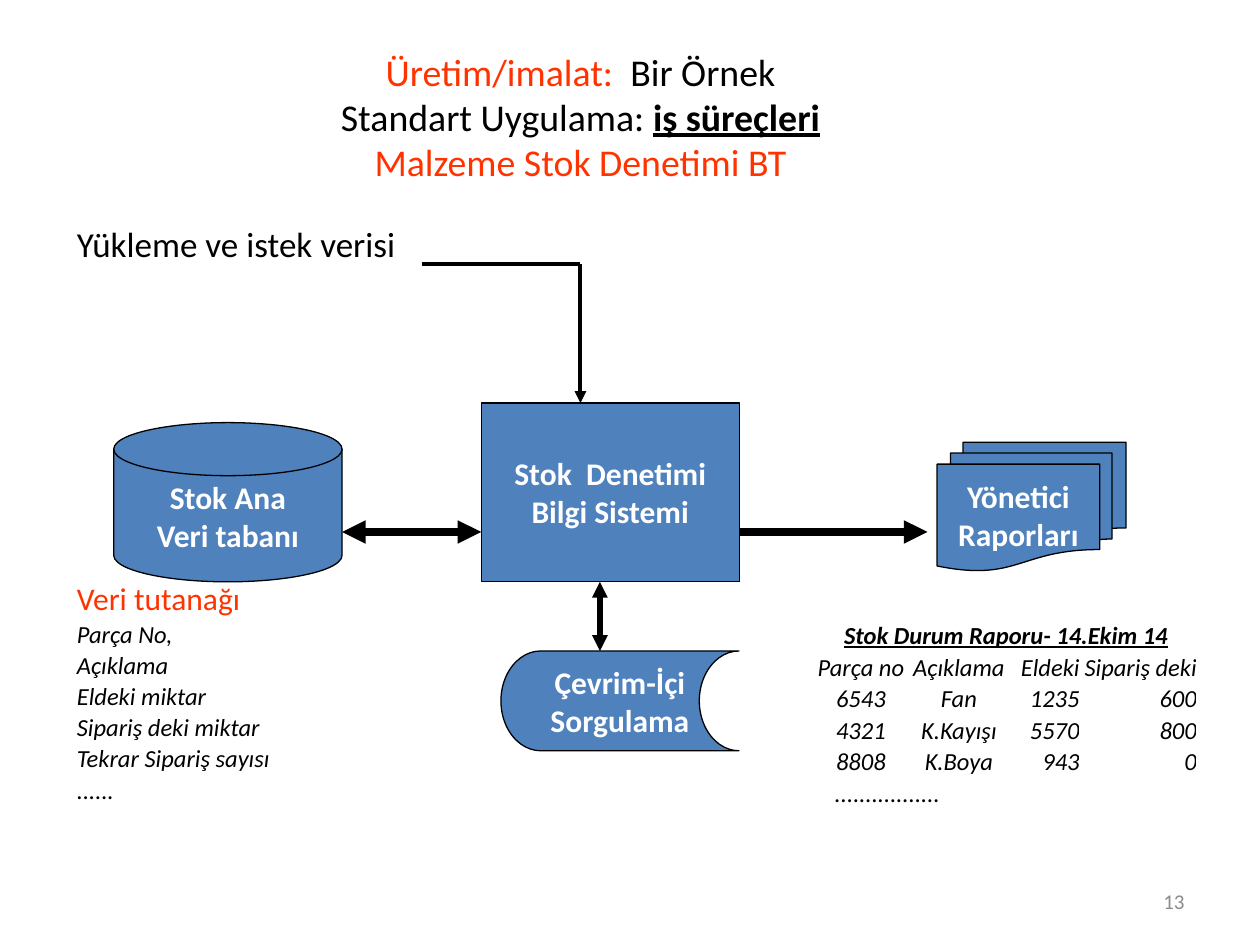
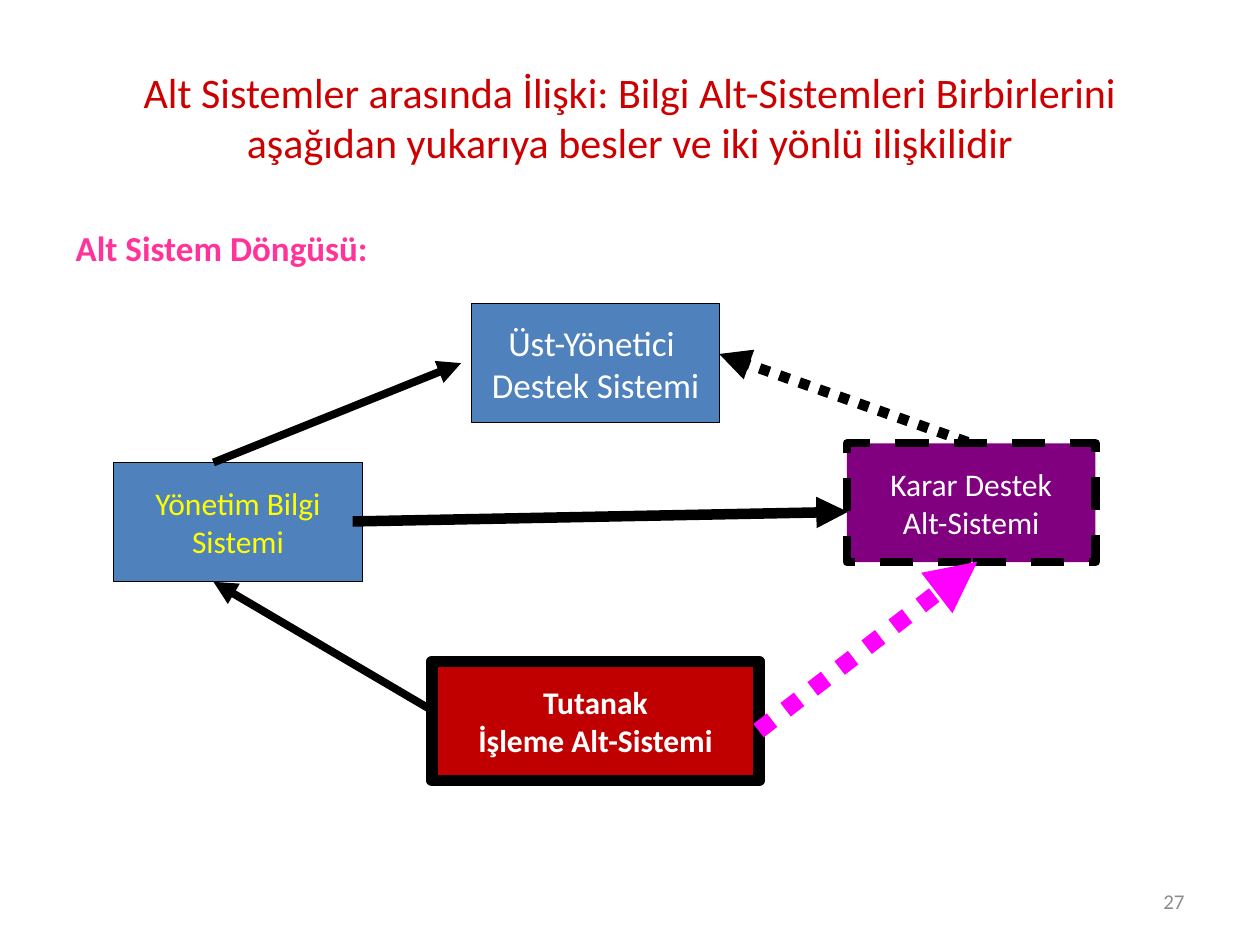
from dataclasses import dataclass
from typing import Optional

import pptx
import pptx.dml.color
import pptx.enum.dml
import pptx.enum.shapes
import pptx.enum.text
import pptx.oxml
import pptx.oxml.ns
import pptx.util

Pt = pptx.util.Pt
RGBColor = pptx.dml.color.RGBColor
Align = pptx.enum.text.PP_ALIGN
Anchor = pptx.enum.text.MSO_ANCHOR
Preset = pptx.enum.shapes.MSO_SHAPE
Dash = pptx.enum.dml.MSO_LINE

BLACK = RGBColor(0x00, 0x00, 0x00)
WHITE = RGBColor(0xFF, 0xFF, 0xFF)
BLUE = RGBColor(0x4F, 0x81, 0xBD)
ORANGE = RGBColor(0xFF, 0x33, 0x00)
RED = RGBColor(0xCC, 0x00, 0x00)
DARK_RED = RGBColor(0xC0, 0x00, 0x00)
PINK = RGBColor(0xFF, 0x33, 0x99)
MAGENTA = RGBColor(0xFF, 0x00, 0xFF)
PURPLE = RGBColor(0x80, 0x00, 0x80)
YELLOW = RGBColor(0xFF, 0xFF, 0x00)
GREY = RGBColor(0x8C, 0x8C, 0x8C)

FONT = "Calibri"


@dataclass
class Frame:
    left: float
    top: float
    width: float
    height: float

    def lengths(self) -> tuple:
        return Pt(self.left), Pt(self.top), Pt(self.width), Pt(self.height)


@dataclass
class Span:
    text: str
    size: float
    color: RGBColor = BLACK
    bold: bool = False
    italic: bool = False
    underline: bool = False


@dataclass
class Line:
    spans: list[Span]
    space_before: float = 0
    spacing: float = 1.0


@dataclass
class Node:
    frame: Frame
    lines: list[str]
    preset: int = Preset.RECTANGLE
    fill: RGBColor = BLUE
    text_color: RGBColor = WHITE
    text_size: float = 18
    bold: bool = True
    border: float = 0.75
    dash: Optional[int] = None


@dataclass
class Link:
    start: tuple[float, float]
    end: tuple[float, float]
    width: float
    color: RGBColor = BLACK
    head: bool = False
    tail: bool = True
    dash: Optional[int] = None


def write_lines(text_frame, lines: list[Line], align: int) -> None:
    """Fill a text frame with one unbulleted paragraph per line."""
    for index, line in enumerate(lines):
        paragraph = text_frame.paragraphs[0] if index == 0 else text_frame.add_paragraph()
        properties = paragraph._p.get_or_add_pPr()
        properties.set("marL", "0")
        properties.set("indent", "0")
        pptx.oxml.ns.qn("a:buNone")
        properties.append(pptx.oxml.parse_xml(
            f'<a:buNone {pptx.oxml.ns.nsdecls("a")}/>'))
        paragraph.alignment = align
        paragraph.space_before = Pt(line.space_before)
        paragraph.line_spacing = line.spacing
        for span in line.spans:
            run = paragraph.add_run()
            run.text = span.text
            font = run.font
            font.name, font.size = FONT, Pt(span.size)
            font.color.rgb = span.color
            font.bold, font.italic, font.underline = span.bold, span.italic, span.underline


def fill_placeholder(placeholder, frame: Frame, lines: list[Line], align: int) -> None:
    placeholder.left, placeholder.top, placeholder.width, placeholder.height = frame.lengths()
    placeholder.text_frame.auto_size = pptx.enum.text.MSO_AUTO_SIZE.NONE
    write_lines(placeholder.text_frame, lines, align)


def start_slide(presentation, title_frame: Frame, title: list[Line],
                body_frame: Frame, body: list[Line], number: int):
    """Add a slide with title, body list and slide number."""
    slide = presentation.slides.add_slide(presentation.slide_layouts[1])
    fill_placeholder(slide.shapes.title, title_frame, title, Align.CENTER)
    slide.shapes.title.text_frame.vertical_anchor = Anchor.MIDDLE
    fill_placeholder(slide.placeholders[1], body_frame, body, Align.LEFT)
    number_box = slide.shapes.add_textbox(*Frame(516, 500.5, 168, 28.8).lengths())
    number_box.text_frame.word_wrap = True
    number_box.text_frame.vertical_anchor = Anchor.MIDDLE
    write_lines(number_box.text_frame, [Line([Span(str(number), 12, GREY)])], Align.RIGHT)
    return slide


def draw_node(slide, node: Node) -> None:
    shape = slide.shapes.add_shape(node.preset, *node.frame.lengths())
    shape.shadow.inherit = False
    shape.fill.solid()
    shape.fill.fore_color.rgb = node.fill
    shape.line.color.rgb = BLACK
    shape.line.width = Pt(node.border)
    if node.dash is not None:
        shape.line.dash_style = node.dash
    shape.text_frame.word_wrap = False
    shape.text_frame.vertical_anchor = Anchor.MIDDLE
    lines = [Line([Span(text, node.text_size, node.text_color, node.bold)])
             for text in node.lines]
    write_lines(shape.text_frame, lines, Align.CENTER)


def draw_link(slide, link: Link) -> None:
    points = [Pt(value) for value in (*link.start, *link.end)]
    connector = slide.shapes.add_connector(
        pptx.enum.shapes.MSO_CONNECTOR.STRAIGHT, *points)
    connector.line.color.rgb = link.color
    connector.line.width = Pt(link.width)
    if link.dash is not None:
        connector.line.dash_style = link.dash
    namespace = pptx.oxml.ns.nsdecls("a")
    outline = connector.line._get_or_add_ln()
    for tag, wanted in (("headEnd", link.head), ("tailEnd", link.tail)):
        if wanted:
            outline.append(pptx.oxml.parse_xml(f'<a:{tag} {namespace} type="triangle"/>'))
    connector._element.spPr.append(pptx.oxml.parse_xml(f"<a:effectLst {namespace}/>"))


def draw_stock_report(slide) -> None:
    rows = [
        ["Stok Durum Raporu- 14.Ekim 14"],
        ["Parça no", "Açıklama", "Eldeki", "Sipariş deki"],
        ["6543", "Fan", "1235", "600"],
        ["4321", "K.Kayışı", "5570", "800"],
        ["8808", "K.Boya", "943", "0"],
        ["................."],
    ]
    widths = [52, 60, 39, 67]
    aligns = [Align.CENTER, Align.CENTER, Align.RIGHT, Align.RIGHT]
    row_height = 18
    frame = Frame(466, 354.5, sum(widths), row_height * len(rows))
    table = slide.shapes.add_table(len(rows), len(widths), *frame.lengths()).table
    table.first_row = table.horz_banding = False
    for column, width in zip(table.columns, widths):
        column.width = Pt(width)
    for row_index, values in enumerate(rows):
        table.rows[row_index].height = Pt(row_height)
        for column_index in range(len(widths)):
            cell = table.cell(row_index, column_index)
            cell.fill.background()
            cell.margin_left = cell.margin_right = cell.margin_top = cell.margin_bottom = 0
            cell.vertical_anchor = Anchor.MIDDLE
        if len(values) == 1:
            table.cell(row_index, 0).merge(table.cell(row_index, len(widths) - 1))
        is_heading = row_index == 0
        for column_index, value in enumerate(values):
            span = Span(value, 14, bold=is_heading, italic=True, underline=is_heading)
            write_lines(table.cell(row_index, column_index).text_frame,
                        [Line([span])], aligns[column_index])
    dots = table.cell(len(rows) - 1, 0)
    dots.margin_left = Pt(11)
    dots.text_frame.paragraphs[0].alignment = Align.LEFT


def build_stock_slide(presentation) -> None:
    size = 21.6
    title = [
        Line([Span("Üretim/imalat:", size, ORANGE), Span("  Bir Örnek", size)]),
        Line([Span("Standart Uygulama: ", size),
              Span("iş süreçleri", size, bold=True, underline=True)]),
        Line([Span("Malzeme Stok Denetimi BT", size, ORANGE)]),
    ]
    record_fields = ["Parça No,", "Açıklama", "Eldeki miktar", "Sipariş deki miktar",
                     "Tekrar Sipariş sayısı", "......"]
    body = [
        Line([Span("Yükleme ve istek verisi", 20)], spacing=0.9),
        Line([Span("Veri tutanağı", 18, ORANGE)], space_before=182, spacing=0.9),
    ] + [Line([Span(field, 14, italic=True)], space_before=2.7, spacing=0.9)
         for field in record_fields]
    slide = start_slide(presentation, Frame(48, 21.6, 567.5, 90), title,
                        Frame(36.7, 126, 683.3, 394), body, 13)
    draw_stock_report(slide)

    nodes = [
        Node(Frame(65, 241.5, 130.5, 91), ["Stok Ana", "Veri tabanı"],
             Preset.FLOWCHART_MAGNETIC_DISK),
        Node(Frame(275, 230.3, 147.5, 102), ["Stok  Denetimi", "Bilgi Sistemi"]),
        Node(Frame(535.5, 252.7, 108, 73.5), ["Yönetici", "Raporları"],
             Preset.FLOWCHART_MULTIDOCUMENT),
        Node(Frame(286.3, 372, 136, 57), ["Çevrim-İçi", "Sorgulama"],
             Preset.FLOWCHART_STORED_DATA),
    ]
    # The online storage outline has no named constant of its own.
    for node in nodes:
        draw_node(slide, node)
    storage = slide.shapes[-1]
    storage._element.spPr.prstGeom.set("prst", "flowChartOnlineStorage")

    corner = (331.7, 151)
    links = [
        Link((241, 151), corner, 2.25, tail=False),
        Link(corner, (331.7, 230.3), 2.25),
        Link((195.5, 304), (275, 304), 4.5, head=True),
        Link((342.8, 332.5), (342.8, 372), 3, head=True),
        Link((422.5, 304), (530, 304), 4.5),
    ]
    for link in links:
        draw_link(slide, link)


def build_relations_slide(presentation) -> None:
    title = [Line([Span(text, 24, RED)]) for text in (
        "Alt Sistemler arasında İlişki: Bilgi Alt-Sistemleri Birbirlerini",
        "aşağıdan yukarıya besler ve iki yönlü ilişkilidir")]
    body = [Line([Span("Alt Sistem Döngüsü:", 20, PINK, bold=True)])]
    slide = start_slide(presentation, Frame(36, 21.6, 648, 90), title,
                        Frame(36, 126, 648, 356.4), body, 27)

    width, height = 142, 68
    nodes = [
        Node(Frame(65, 264.3, width, height), ["Yönetim Bilgi", "Sistemi"],
             text_color=YELLOW, bold=False),
        Node(Frame(269.3, 173.5, width, height), ["Üst-Yönetici ", "Destek Sistemi"],
             text_size=20, bold=False),
        Node(Frame(246.8, 378, 187, height), ["Tutanak", "İşleme Alt-Sistemi"],
             fill=DARK_RED, border=6.75),
        Node(Frame(484, 253.3, width, height), ["Karar Destek", "Alt-Sistemi"],
             fill=PURPLE, bold=False, border=4.75, dash=Dash.DASH),
    ]
    for node in nodes:
        draw_node(slide, node)

    links = [
        Link((122, 264.3), (263.5, 207.5), 4.5),
        Link((201.5, 298), (484.5, 292.5), 6),
        Link((247, 406), (122, 332.5), 4.5),
        Link((433.5, 417.5), (558.5, 321), 9.75, MAGENTA, dash=Dash.ROUND_DOT),
        Link((553, 252.7), (411, 202.3), 6, dash=Dash.ROUND_DOT),
    ]
    for link in links:
        draw_link(slide, link)


def main() -> None:
    presentation = pptx.Presentation()
    presentation.slide_width, presentation.slide_height = Pt(720), Pt(540)
    build_stock_slide(presentation)
    build_relations_slide(presentation)
    presentation.save("out.pptx")


if __name__ == "__main__":
    main()
